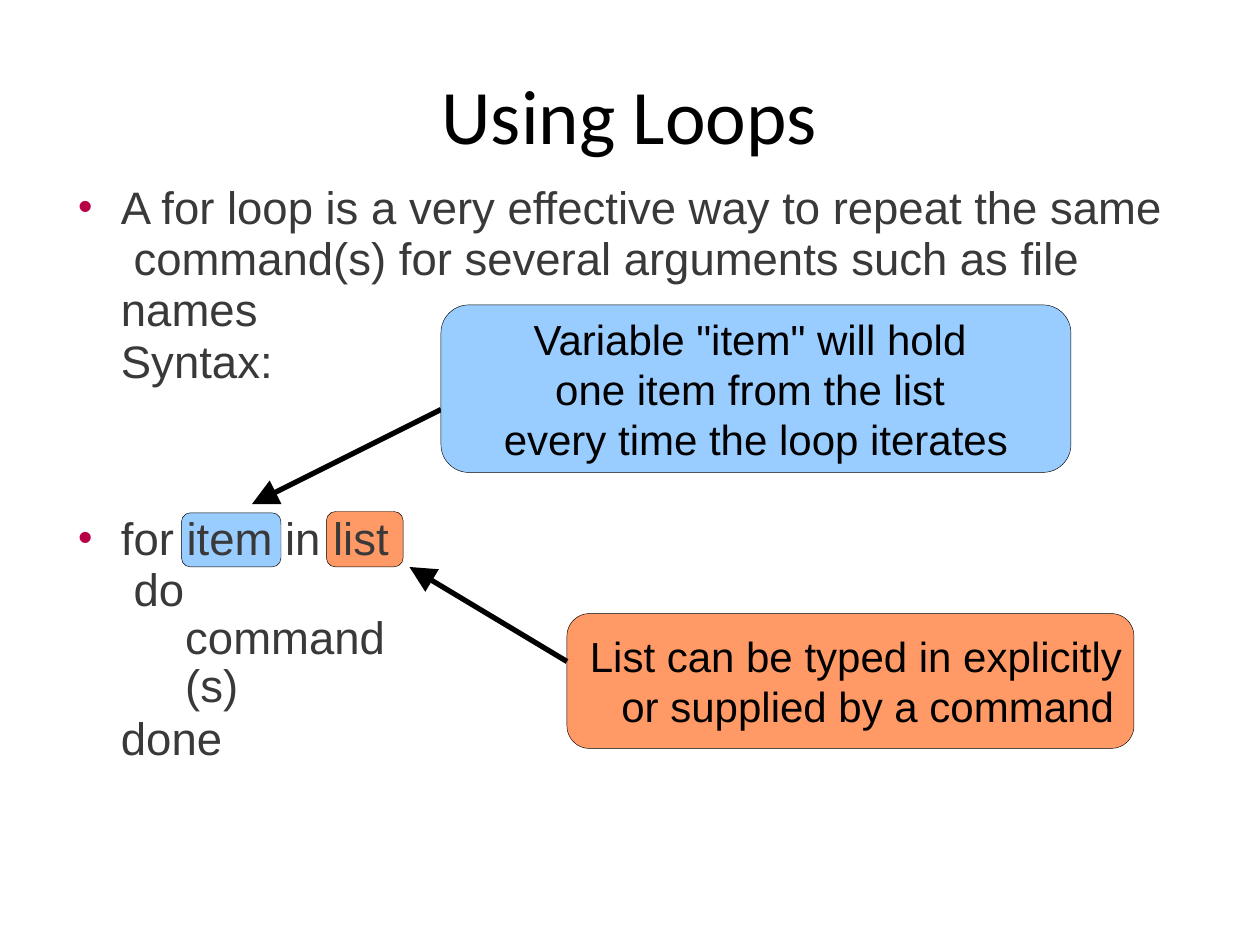
"""Build the slide on using shell loops, with two callouts on its syntax."""
from lxml import etree
from pptx import Presentation
from pptx.dml.color import RGBColor
from pptx.enum import shapes, text
from pptx.oxml import ns
from pptx.util import Inches, Pt

BLACK = RGBColor(0x00, 0x00, 0x00)
GREY = RGBColor(0x39, 0x39, 0x39)
BLUE = RGBColor(0x99, 0xCC, 0xFF)
ORANGE = RGBColor(0xFF, 0x99, 0x66)
CRIMSON = RGBColor(0xB8, 0x00, 0x46)

# text, bulleted, left indent (in), line spacing (pt), space before (pt)
BODY = [
    ("A for loop is a very effective way to repeat the same\v command(s) "
     "for several arguments such as file names", True, 0.36, 29.2, 0),
    ("Syntax:", False, 0.36, 29.2, 0),
    ("for item in list\v do", True, 0.36, 29.1, 72.6),
    ("command\v(s)", False, 0.87, 27.4, 0),
    ("done", False, 0.36, 30.1, 0),
]


def place(shape, left, top, width, height):
    """Move and size a shape, in inches."""
    shape.left, shape.top = Inches(left), Inches(top)
    shape.width, shape.height = Inches(width), Inches(height)


def prepare_frame(shape, anchor, left_margin=0):
    """Set a wrapping text frame with fixed size and return it."""
    frame = shape.text_frame
    frame.word_wrap = True
    frame.auto_size = text.MSO_AUTO_SIZE.NONE
    frame.vertical_anchor = anchor
    frame.margin_left = Inches(left_margin)
    frame.margin_right = frame.margin_top = frame.margin_bottom = 0
    return frame


def write(paragraph, words, size, color, face="Arial"):
    """Add words to a paragraph, one run for each line."""
    for number, line in enumerate(words.split("\v")):
        if number:
            paragraph.add_line_break()
        span = paragraph.add_run()
        span.text = line
        span.font.name = face
        span.font.size = Pt(size)
        span.font.color.rgb = color


def set_indent(paragraph, left, first):
    """Set the left and first-line indents, in inches."""
    properties = paragraph._p.get_or_add_pPr()
    properties.set("marL", str(Inches(left)))
    properties.set("indent", str(Inches(first)))
    return properties


def set_bullet(properties, bulleted):
    """Give a paragraph a crimson bullet, or none."""
    if not bulleted:
        etree.SubElement(properties, ns.qn("a:buNone"))
        return
    color = etree.SubElement(properties, ns.qn("a:buClr"))
    etree.SubElement(color, ns.qn("a:srgbClr"), val=str(CRIMSON))
    etree.SubElement(properties, ns.qn("a:buSzPct"), val="90000")
    etree.SubElement(properties, ns.qn("a:buFont"), typeface="Arial")
    etree.SubElement(properties, ns.qn("a:buChar"), char="•")


def fill_title(title):
    """Place and write the title."""
    place(title, 3.13, 0.52, 3.73, 0.76)
    frame = prepare_frame(title, text.MSO_ANCHOR.MIDDLE)
    paragraph = frame.paragraphs[0]
    paragraph.alignment = text.PP_ALIGN.CENTER
    write(paragraph, "Using Loops", 44, BLACK, "Calibri")


def fill_body(body):
    """Place and write the explanation and the loop syntax."""
    place(body, 0.6, 1.45, 8.69, 4.7)
    frame = prepare_frame(body, text.MSO_ANCHOR.TOP)
    for number, (words, bulleted, left, spacing, before) in enumerate(BODY):
        paragraph = frame.add_paragraph() if number else frame.paragraphs[0]
        properties = set_indent(paragraph, left, -0.34 if bulleted else 0)
        set_bullet(properties, bulleted)
        paragraph.line_spacing = Pt(spacing)
        paragraph.space_before = Pt(before)
        write(paragraph, words, 26, GREY)


def add_panel(page, left, top, width, height, color):
    """Add a rounded rectangle with a hairline border."""
    panel = page.shapes.add_shape(
        shapes.MSO_SHAPE.ROUNDED_RECTANGLE,
        Inches(left), Inches(top), Inches(width), Inches(height))
    panel.shadow.inherit = False
    panel.fill.solid()
    panel.fill.fore_color.rgb = color
    panel.line.color.rgb = BLACK
    panel.line.width = Pt(0.25)
    return panel


def fill_callout(panel, words, alignment, left_margin=0, hanging=0):
    """Write a callout's text."""
    frame = prepare_frame(panel, text.MSO_ANCHOR.MIDDLE, left_margin)
    paragraph = frame.paragraphs[0]
    set_indent(paragraph, hanging, -hanging)
    paragraph.alignment = alignment
    paragraph.line_spacing = Pt(28.6)
    write(paragraph, words, 24, BLACK)


def add_arrow(page, start, end):
    """Add a straight black arrow between two points in inches."""
    arrow = page.shapes.add_connector(
        shapes.MSO_CONNECTOR.STRAIGHT, *map(Inches, start + end))
    arrow.line.color.rgb = BLACK
    arrow.line.width = Pt(3)
    etree.SubElement(arrow.line._get_or_add_ln(), ns.qn("a:tailEnd"),
                     type="triangle", w="lg", len="lg")
    etree.SubElement(arrow.element.spPr, ns.qn("a:effectLst"))


def main():
    """Build and save the deck."""
    deck = Presentation()
    deck.slide_width, deck.slide_height = Inches(10), Inches(7.5)
    page = deck.slides.add_slide(deck.slide_layouts[1])
    body = page.placeholders[1]
    fill_title(page.shapes.title)
    fill_body(body)

    add_panel(page, 2.59, 4.06, 0.61, 0.44, ORANGE)
    add_panel(page, 1.44, 4.07, 0.79, 0.43, BLUE)
    body.element.getparent().append(body.element)

    add_arrow(page, (3.5, 3.25), (2, 4))
    variable = add_panel(page, 3.5, 2.42, 5, 1.33, BLUE)
    fill_callout(variable, 'Variable "item" will hold \vone item from the list '
                 "\vevery time the loop iterates", text.PP_ALIGN.CENTER)
    source = add_panel(page, 4.5, 4.87, 4.5, 1.07, ORANGE)
    fill_callout(source, "List can be typed in explicitly\v"
                 "or supplied by a command", text.PP_ALIGN.LEFT, 0.13, 0.25)
    add_arrow(page, (4.5, 5.25), (3.25, 4.5))
    deck.save("out.pptx")


if __name__ == "__main__":
    main()
